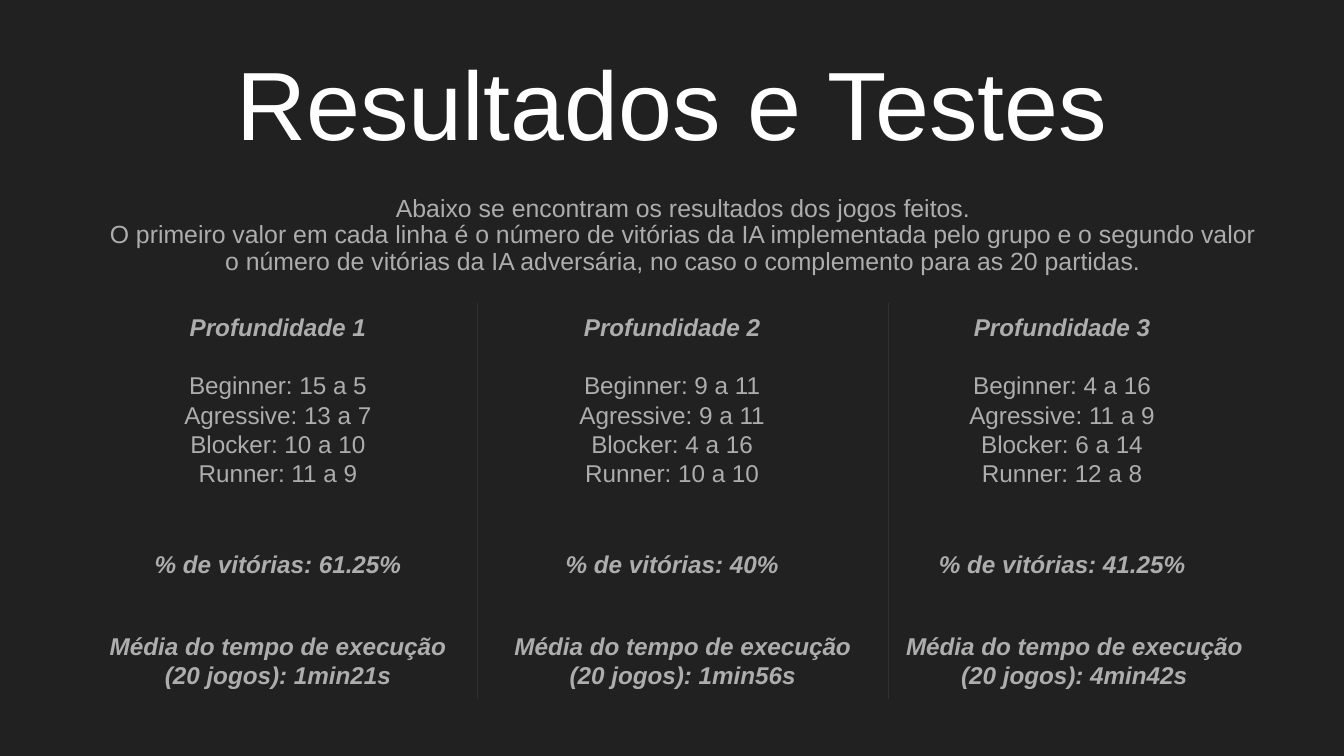
from pptx import Presentation
from pptx import util as u
from pptx.dml.color import RGBColor
from pptx.enum import shapes, text
from pptx.oxml.ns import qn
from lxml import etree

COLOURS = {"ground": "212121", "title": "FFFFFF", "body": "ADADAD", "rule": "303030"}

TITLE = "Resultados e Testes"
INTRO = [
    "Abaixo se encontram os resultados dos jogos feitos.",
    "O primeiro valor em cada linha é o número de vitórias da IA implementada pelo grupo "
    "e o segundo valor o número de vitórias da IA adversária, no caso o complemento "
    "para as 20 partidas.",
]
OPPONENTS = ["Beginner", "Agressive", "Blocker", "Runner"]
# Centres and widths are in centimetres; widths run scores, rate, time.
DEPTHS = [
    {"scores": ["15 a 5", "13 a 7", "10 a 10", "11 a 9"], "rate": "61.25%",
     "time": "1min21s", "centre": 5.25, "time_centre": 5.25, "widths": (5, 7, 7)},
    {"scores": ["9 a 11", "9 a 11", "4 a 16", "10 a 10"], "rate": "40%",
     "time": "1min56s", "centre": 12.7, "time_centre": 12.9, "widths": (5.94, 5.77, 7)},
    {"scores": ["4 a 16", "11 a 9", "6 a 14", "12 a 8"], "rate": "41.25%",
     "time": "4min42s", "centre": 20.07, "time_centre": 20.3, "widths": (8.33, 5.94, 7)},
]
ROWS = {"scores": (5.66, 3.86), "rate": (10.13, 1.07), "time": (11.68, 1.63)}
RULES_X = [9.02, 16.79]
RULE_TOP, RULE_BOTTOM = 5.72, 13.21

PLAIN = {"name": "Arial", "size": u.Pt(13), "bold": False, "italic": False}
STRONG = {**PLAIN, "bold": True, "italic": True}
INTRO_FONT = {**PLAIN, "size": u.Pt(13.3)}
TITLE_FONT = {**PLAIN, "size": u.Pt(52)}
FRAME = {"word_wrap": True, "auto_size": text.MSO_AUTO_SIZE.NONE,
         **{f"margin_{side}": u.Cm(0.25) for side in ("left", "top", "right", "bottom")}}


def rgb(name):
    return RGBColor.from_string(COLOURS[name])


def apply(target, values):
    for key, value in values.items():
        setattr(target, key, value)


def place(box, left, top, width, height):
    apply(box, {"left": u.Cm(left), "top": u.Cm(top),
                "width": u.Cm(width), "height": u.Cm(height)})


def write(box, lines, colour="body", anchor=text.MSO_ANCHOR.TOP, spacing=1.0):
    """Fill a box with (words, font values, points after) lines."""
    frame = box.text_frame
    apply(frame, {**FRAME, "vertical_anchor": anchor})
    for index, (words, font, after) in enumerate(lines):
        para = frame.paragraphs[0] if index == 0 else frame.add_paragraph()
        apply(para, {"alignment": text.PP_ALIGN.CENTER, "line_spacing": spacing,
                     "space_before": u.Pt(0), "space_after": u.Pt(after)})
        span = para.add_run()
        span.text = words
        apply(span.font, font)
        span.font.color.rgb = rgb(colour)


def add_centred(page, row, centre, width, lines):
    top, height = ROWS[row]
    box = page.shapes.add_textbox(0, 0, 0, 0)
    place(box, centre - width / 2, top, width, height)
    write(box, lines)


def add_depth(page, number, depth):
    scores = [(f"{name}: {score}", PLAIN, 0)
              for name, score in zip(OPPONENTS, depth["scores"])]
    heading = (f"Profundidade {number}", STRONG, 15.5)
    score_width, rate_width, time_width = depth["widths"]
    add_centred(page, "scores", depth["centre"], score_width, [heading] + scores)
    add_centred(page, "rate", depth["centre"], rate_width,
                [(f"% de vitórias: {depth['rate']}", STRONG, 0)])
    add_centred(page, "time", depth["time_centre"], time_width,
                [("Média do tempo de execução", STRONG, 0),
                 (f"(20 jogos): {depth['time']}", STRONG, 0)])


def add_rule(page, x):
    rule = page.shapes.add_connector(shapes.MSO_CONNECTOR.STRAIGHT, u.Cm(x),
                                     u.Cm(RULE_TOP), u.Cm(x), u.Cm(RULE_BOTTOM))
    rule.line.color.rgb = rgb("rule")
    rule.line.width = u.Pt(0.75)
    etree.SubElement(rule._element.spPr, qn("a:effectLst"))


def main():
    deck = Presentation()
    deck.slide_width, deck.slide_height = u.Cm(25.4), u.Cm(14.29)
    page = deck.slides.add_slide(deck.slide_layouts[0])
    page.background.fill.solid()
    page.background.fill.fore_color.rgb = rgb("ground")

    title, intro = page.placeholders
    place(title, 0, 0.46, 25.4, 2.82)
    write(title, [(TITLE, TITLE_FONT, 0)], "title", text.MSO_ANCHOR.BOTTOM)
    place(intro, 1.8, 3.45, 22.23, 3.23)
    write(intro, [(words, INTRO_FONT, 0) for words in INTRO], spacing=0.9)

    for number, depth in enumerate(DEPTHS, start=1):
        add_depth(page, number, depth)
    for x in RULES_X:
        add_rule(page, x)
    deck.save("out.pptx")


if __name__ == "__main__":
    main()
